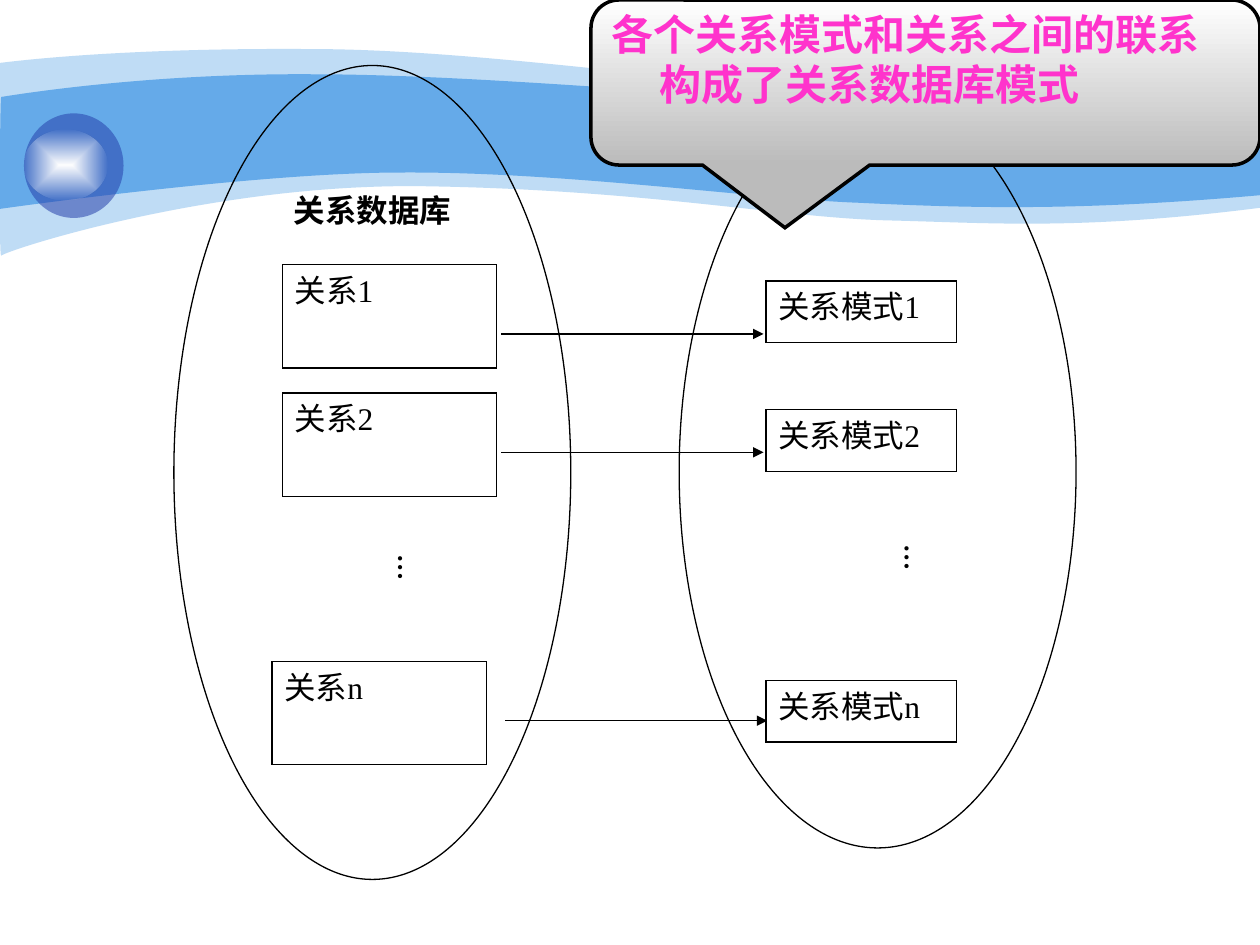
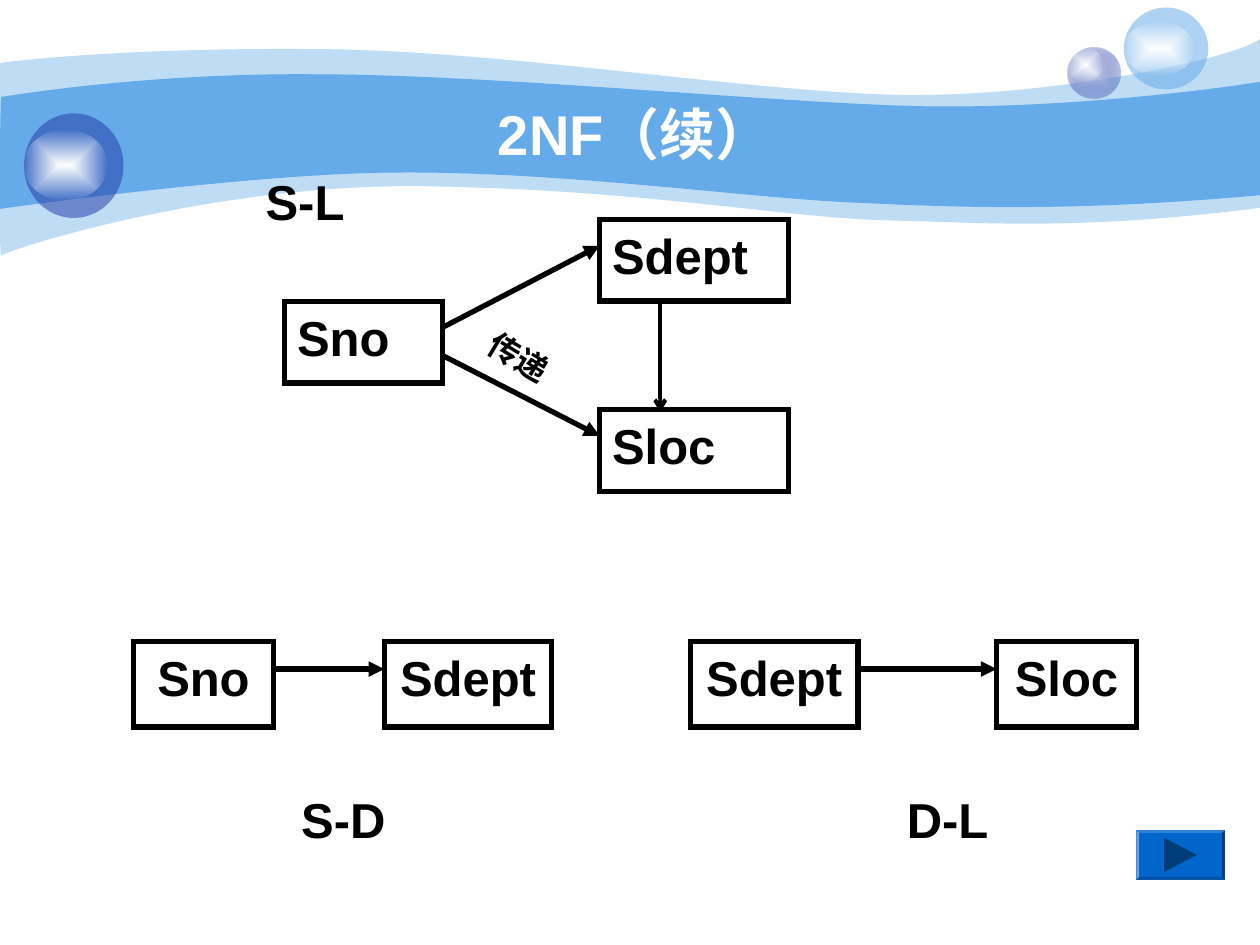
from lxml import etree
from pptx import Presentation
from pptx import util as u
from pptx.dml.color import RGBColor
from pptx.enum import shapes, text
from pptx.oxml.ns import qn

BLACK, WHITE = "000000", "FFFFFF"
SKY, NAVY, PINK = "65AAE9", "233DA9", "FF33CC"
SERIF, SANS = "Times New Roman", "Arial"
SHAPE, ALIGN, ANCHOR = shapes.MSO_SHAPE, text.PP_ALIGN, text.MSO_ANCHOR

OUTER_WAVE = [
    [(0, 0.5)],
    [(0.24, 0.47), (1.07, 0.38), (2.47, 0.39)],
    [(3.86, 0.39), (5.75, 0.7), (6.99, 0.75)],
    [(8.22, 0.8), (9.8, 0.47), (10, 0.31)],
    [(10, 1.65)],
    [(8.58, 1.83), (7.87, 1.77), (7.05, 1.75)],
    [(6.22, 1.73), (5.15, 1.51), (3.43, 1.48)],
    [(1.72, 1.44), (0.04, 1.99), (0.01, 2.03)],
    [(-0.01, 2.08), (0, 0.75), (0, 0.5)],
]
INNER_WAVE = [
    [(0.01, 0.77)],
    [(0.02, 0.77), (1.1, 0.58), (2.48, 0.59)],
    [(3.86, 0.59), (5.95, 0.8), (7.18, 0.84)],
    [(8.41, 0.88), (9.76, 0.69), (10, 0.65)],
    [(10, 1.55)],
    [(8.53, 1.68), (7.65, 1.65), (6.82, 1.61)],
    [(5.99, 1.58), (4.47, 1.36), (3.17, 1.37)],
    [(2.03, 1.37), (-0.02, 1.66), (-0.01, 1.66)],
    [(0, 1.66), (0, 0.77), (0.01, 0.77)],
]


def rgb(value):
    return RGBColor.from_string(value)


def inches(values):
    return [u.Inches(value) for value in values]


def set_alphas(shape, alphas):
    for color, alpha in zip(shape.element.spPr.iter(qn("a:srgbClr")), alphas):
        etree.SubElement(color, qn("a:alpha"), val=str(alpha * 1000))


def fill_solid(shape, color, alpha=100):
    shape.fill.solid()
    shape.fill.fore_color.rgb = rgb(color)
    if alpha < 100:
        set_alphas(shape, [alpha])


def fill_gradient(shape, start, end):
    shape.fill.gradient()
    shape.fill.gradient_angle = 270
    for stop, color in zip(shape.fill.gradient_stops, (start, end)):
        stop.color.rgb = rgb(color)


def fill_glow(shape, center, edge, edge_alpha):
    fill_gradient(shape, center, edge)
    set_alphas(shape, [100, edge_alpha])
    linear = shape.element.spPr.find(".//" + qn("a:lin"))
    path = etree.Element(qn("a:path"), path="rect")
    etree.SubElement(path, qn("a:fillToRect"), l="50000", t="50000", r="50000", b="50000")
    linear.getparent().replace(linear, path)


def add_shape(slide, kind, box, fill=None, line_width=None):
    shape = slide.shapes.add_shape(kind, *inches(box))
    shape.shadow.inherit = False
    if fill:
        fill_solid(shape, fill)
    else:
        shape.fill.background()
    if line_width:
        shape.line.color.rgb = rgb(BLACK)
        shape.line.width = u.Pt(line_width)
        etree.SubElement(shape.element.spPr.find(qn("a:ln")), qn("a:miter"), lim="800000")
    else:
        shape.line.fill.background()
    return shape


def write(shape, words, size, font, color=BLACK, bold=True, align=ALIGN.LEFT, anchor=ANCHOR.TOP):
    frame = shape.text_frame
    frame.word_wrap = True
    frame.vertical_anchor = anchor
    frame.text = words
    paragraph = frame.paragraphs[0]
    paragraph.alignment = align
    paragraph.font.size = u.Pt(size)
    paragraph.font.name = font
    paragraph.font.bold = bold
    paragraph.font.color.rgb = rgb(color)
    return paragraph


def add_label(slide, box, words, size=28, align=ALIGN.JUSTIFY):
    label = slide.shapes.add_textbox(*inches(box))
    write(label, words, size, SANS, align=align)
    return label


def add_arrow(slide, start, end, width, head="triangle"):
    arrow = slide.shapes.add_connector(shapes.MSO_CONNECTOR.STRAIGHT, *inches(start + end))
    arrow.line.color.rgb = rgb(BLACK)
    arrow.line.width = u.Pt(width)
    properties = arrow.element.spPr
    etree.SubElement(properties.find(qn("a:ln")), qn("a:tailEnd"), type=head)
    etree.SubElement(properties, qn("a:effectLst"))


def add_outline(slide, contours, color, alpha=100):
    builder = slide.shapes.build_freeform(*inches(contours[0][0]))
    for index, contour in enumerate(contours):
        if index:
            builder.move_to(*inches(contour[0]))
        builder.add_line_segments([inches(point) for point in contour[1:]], close=True)
    outline = builder.convert_to_shape()
    outline.shadow.inherit = False
    fill_solid(outline, color, alpha)
    outline.line.fill.background()
    return outline


def add_wave(slide, segments, alpha=100):
    points = [point for segment in segments for point in segment]
    wave = add_outline(slide, [points], SKY, alpha)
    lines = iter(wave.element.spPr.findall(".//" + qn("a:lnTo")))
    for segment in segments[1:]:
        first, *others = [next(lines) for _ in segment]
        if others:
            curve = etree.Element(qn("a:cubicBezTo"))
            first.getparent().replace(first, curve)
            curve.append(first[0])
            for line in others:
                curve.append(line[0])
                line.getparent().remove(line)


def add_sphere(slide, box, shine, color, alpha, center=None):
    left, top, _, _ = box
    offset, width, height = shine
    ball = add_shape(slide, SHAPE.OVAL, box)
    if center:
        fill_glow(ball, center, color, alpha)
    else:
        fill_solid(ball, color, alpha)
    gloss = add_shape(slide, SHAPE.OVAL, (left, top + offset, width, height))
    fill_glow(gloss, WHITE, WHITE, 0)


def decorate_master(presentation, slide):
    add_wave(slide, OUTER_WAVE, 41)
    add_wave(slide, INNER_WAVE)
    add_sphere(slide, (8.47, 0.38, 0.42, 0.4), (0, 0.28, 0.27), NAVY, 31, "C7CEE9")
    add_sphere(slide, (8.92, 0.06, 0.67, 0.65), (0.11, 0.56, 0.43), SKY, 53)
    add_sphere(slide, (0.19, 0.9, 0.79, 0.83), (0.13, 0.66, 0.56), NAVY, 53)
    for shape in list(slide.shapes):
        presentation.slide_master.shapes.element.append(shape.element)


def add_column(slide, box, prefix, places, size, dots_place):
    left, top, _, _ = box
    for suffix, (x, y) in zip("12n", places):
        item = add_shape(slide, SHAPE.RECTANGLE, (left + x, top + y, *size), WHITE, 0.75)
        write(item, prefix + suffix, 18, SERIF, bold=False)
    x, y = dots_place
    dots = add_shape(slide, SHAPE.RECTANGLE, (left + x, top + y, 1.51, 0.65), WHITE)
    write(dots, "…", 15, SERIF, align=ALIGN.CENTER)
    frame = dots.text_frame
    frame.margin_left = frame.margin_right = u.Inches(0.05)
    frame.margin_top = frame.margin_bottom = u.Inches(0.1)
    dots.element.txBody.find(qn("a:bodyPr")).set("vert", "eaVert")


def add_callout(slide, box):
    callout = add_shape(slide, SHAPE.ROUNDED_RECTANGULAR_CALLOUT, box, WHITE, 2)
    for index, value in enumerate((-0.21, 0.88, 0.17)):
        callout.adjustments[index] = value
    fill_gradient(callout, WHITE, "BBBBBB")
    callout.text_frame.margin_top = 0
    paragraph = write(callout, "各个关系模式和关系之间的联系构成了关系数据库模式", 24, SERIF, PINK)
    properties = paragraph._p.get_or_add_pPr()
    properties.set("marL", str(u.Inches(0.38)))
    properties.set("indent", str(-u.Inches(0.38)))


def build_schema_slide(slide):
    database = (1.38, 0.52, 3.15, 6.46)
    schema = (5.39, 0.76, 3.15, 5.97)
    for x, y in ((3.98, 2.65), (3.98, 3.59), (4.01, 5.72)):
        add_arrow(slide, (x, y), (x + 2.08, y), 0.75)
    add_column(slide, schema, "关系模式", [(0.69, 1.47), (0.69, 2.49), (0.69, 4.64)],
               (1.51, 0.49), (0.54, 3.46))
    database_oval = add_shape(slide, SHAPE.OVAL, database, line_width=0.75)
    write(database_oval, "关系数据库", 18, SERIF, align=ALIGN.CENTER)
    add_shape(slide, SHAPE.OVAL, schema, line_width=0.75)
    add_column(slide, database, "关系", [(0.86, 1.58), (0.86, 2.6), (0.78, 4.73)],
               (1.7, 0.82), (0.53, 3.78))
    add_callout(slide, (4.69, 0, 5.31, 1.31))


def add_attribute(slide, box, name, align):
    attribute = add_shape(slide, SHAPE.RECTANGLE, box, line_width=3)
    write(attribute, name, 28, SANS, align=align)


def add_transitive_relation(slide, box):
    left, top, width, _ = box
    add_label(slide, (left, top, 1.5, 0.65), "S-L")
    add_attribute(slide, (left + 0.25, top + 1.08, 1.25, 0.65), "Sno", ALIGN.JUSTIFY)
    target_left = left + width - 1.5
    for name, y, arrow_y in (("Sdept", 0.43, 1.29), ("Sloc", 1.94, 1.51)):
        add_attribute(slide, (target_left, top + y, 1.5, 0.65), name, ALIGN.JUSTIFY)
        add_arrow(slide, (left + 1.5, top + arrow_y), (target_left, top + y + 0.21), 3)
    add_arrow(slide, (left + 3.23, top + 1.1), (left + 3.23, top + 1.96), 2.25, "arrow")
    transitive = add_label(slide, (left + 1.73, top + 1.42, 0.94, 0.37), "传递", 18)
    transitive.rotation = 31.1
    transitive.text_frame.paragraphs[0].line_spacing = 0.9


def add_split_relation(slide, box, source, target, label, label_box):
    left, top, width, height = box
    source_name, source_width = source
    target_name, target_width = target
    target_left = left + width - target_width
    add_attribute(slide, (left, top, source_width, height), source_name, ALIGN.CENTER)
    add_attribute(slide, (target_left, top, target_width, height), target_name, ALIGN.CENTER)
    add_arrow(slide, (left + source_width, top + 0.22), (target_left, top + 0.22), 3)
    label_offset, label_width = label_box
    add_label(slide, (left + label_offset, top + 1.13, label_width, height), label,
              align=ALIGN.CENTER)


def add_next_button(slide, box, bevel=0.02):
    left, top, width, height = box
    right, bottom = left + width, top + height
    outer = [(left, top), (right, top), (right, bottom), (left, bottom)]
    inner = [(left + bevel, top + bevel), (right - bevel, top + bevel),
             (right - bevel, bottom - bevel), (left + bevel, bottom - bevel)]
    sides = [[outer[i], outer[(i + 1) % 4], inner[(i + 1) % 4], inner[i]] for i in range(4)]
    triangle = [(left + 0.22, top + 0.06), (left + 0.48, top + height / 2),
                (left + 0.22, bottom - 0.06)]
    button = add_outline(slide, [outer, *sides, triangle], "0066CC")
    path = button.element.spPr.find(".//" + qn("a:path"))
    shades = iter(("norm", "lightenLess", "darken", "darkenLess", "lighten", "darken"))
    for step in list(path):
        if step.tag == qn("a:moveTo"):
            part = etree.SubElement(path.getparent(), qn("a:path"), w=path.get("w"),
                                    h=path.get("h"), fill=next(shades))
        part.append(step)
    path.getparent().remove(path)


def build_normal_form_slide(slide):
    title = slide.shapes.title
    title.left, title.top, title.width, title.height = inches((1, 0.75, 8.08, 0.62))
    write(title, "2NF（续）", 32, SANS, WHITE, align=ALIGN.CENTER, anchor=ANCHOR.MIDDLE)
    add_transitive_relation(slide, (2.01, 1.31, 4.25, 2.59))
    add_split_relation(slide, (1.06, 5.09, 3.32, 0.68), ("Sno", 1.11), ("Sdept", 1.33),
                       "S-D", (1.11, 1.11))
    add_split_relation(slide, (5.48, 5.09, 3.54, 0.68), ("Sdept", 1.33), ("Sloc", 1.11),
                       "D-L", (1.55, 0.98))
    add_next_button(slide, (9.02, 6.59, 0.7, 0.39))


def main():
    presentation = Presentation()
    presentation.slide_width, presentation.slide_height = inches((10, 7.5))
    title_only, blank = presentation.slide_layouts[5], presentation.slide_layouts[6]
    schema_slide = presentation.slides.add_slide(blank)
    decorate_master(presentation, schema_slide)
    build_schema_slide(schema_slide)
    build_normal_form_slide(presentation.slides.add_slide(title_only))
    presentation.save("out.pptx")


if __name__ == "__main__":
    main()
